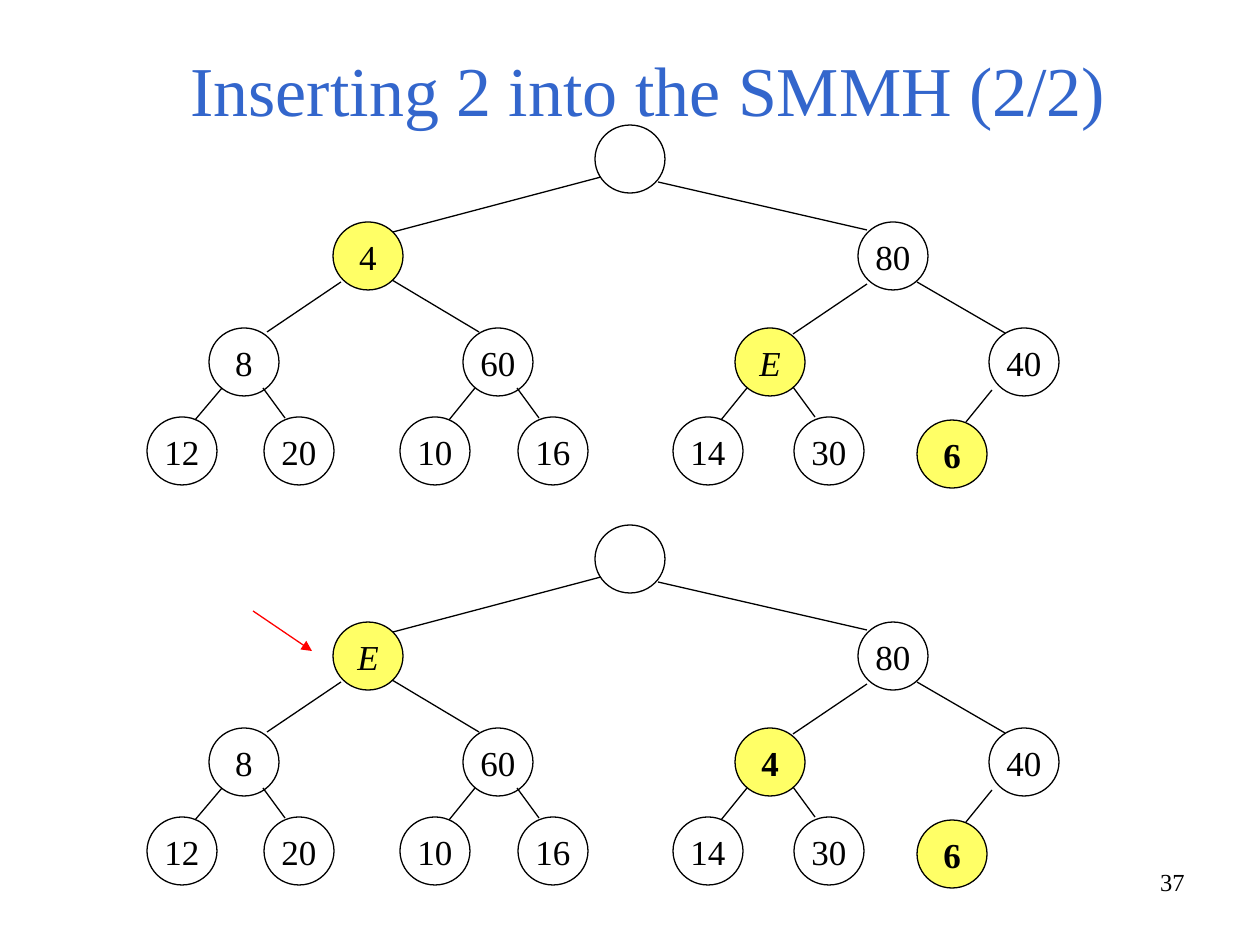
from lxml.etree import SubElement
from pptx import Presentation
from pptx.dml.color import RGBColor
from pptx.enum.shapes import MSO_CONNECTOR, MSO_SHAPE
from pptx.enum.text import MSO_ANCHOR, PP_ALIGN
from pptx.oxml.ns import qn
from pptx.util import Pt

EMU_PER_INCH, PX_PER_INCH = 914400, 126
FONT = "Times New Roman"
COLORS = {"title": "3366CC", "ink": "000000", "changed": "FFFF66", "pointer": "FF0000"}
NODE_WIDTH, NODE_HEIGHT = 70, 68
TREE_TOPS = (125, 525)

# Positions are measured from the top of each tree.
NODES = {
    "root": (595, 0, ""),
    "left": (333, 97, "4"), "right": (858, 97, "80"),
    "left min": (209, 203, "8"), "left max": (463, 203, "60"),
    "right min": (735, 203, "E"), "right max": (989, 203, "40"),
    "leaf 1": (147, 292, "12"), "leaf 2": (264, 292, "20"),
    "leaf 3": (400, 292, "10"), "leaf 4": (518, 292, "16"),
    "leaf 5": (673, 292, "14"), "leaf 6": (794, 292, "30"),
    "leaf 7": (917, 295, "6"),
}
EDGES = [
    (601, 52, 393, 107), (658, 57, 867, 105),
    (341, 157, 267, 207), (392, 155, 479, 207),
    (867, 159, 793, 209), (917, 157, 1005, 208),
    (222, 263, 195, 295), (263, 263, 285, 293),
    (475, 263, 449, 295), (517, 263, 539, 293),
    (747, 263, 721, 295), (793, 262, 815, 292),
    (992, 265, 966, 297),
]
CHANGES = (
    {"left": ("4", ""), "right min": ("E", "italic"), "leaf 7": ("6", "bold")},
    {"left": ("E", "italic"), "right min": ("4", "bold"), "leaf 7": ("6", "bold")},
)


def px(length):
    """Turn pixels into EMU."""
    return round(length * EMU_PER_INCH / PX_PER_INCH)


def color(name):
    """Look up a named colour."""
    return RGBColor.from_string(COLORS[name])


def write(frame, text, size, align, ink="ink", style=""):
    """Set one formatted paragraph in a text frame."""
    frame.text = text
    paragraph = frame.paragraphs[0]
    paragraph.alignment = align
    for run in paragraph.runs:
        run.font.name, run.font.size = FONT, Pt(size)
        run.font.color.rgb = color(ink)
        run.font.bold, run.font.italic = style == "bold", style == "italic"


def add_title(slide, text):
    """Place and format the title placeholder."""
    title = slide.shapes.title
    title.left, title.top, title.width, title.height = map(px, (94, 44, 1108, 93))
    title.text_frame.vertical_anchor = MSO_ANCHOR.BOTTOM
    write(title.text_frame, text, 40, PP_ALIGN.CENTER, "title")


def add_page_number(slide, number):
    """Write the page number at the lower right."""
    box = slide.shapes.add_textbox(px(903), px(861), px(294), px(66))
    box.text_frame.word_wrap = True
    write(box.text_frame, number, 14, PP_ALIGN.RIGHT)


def add_line(slide, ends, ink="ink", arrow=False):
    """Draw a straight line, with an arrowhead if asked."""
    line = slide.shapes.add_connector(MSO_CONNECTOR.STRAIGHT, *map(px, ends))
    line.line.color.rgb = color(ink)
    line.line.width = Pt(0.75)
    if arrow:
        SubElement(line.line._get_or_add_ln(), qn("a:tailEnd"), type="triangle")
    SubElement(line._element.spPr, qn("a:effectLst"))


def add_node(slide, left, top, label, style, changed):
    """Draw one heap node, filled when its value has changed."""
    node = slide.shapes.add_shape(
        MSO_SHAPE.OVAL, px(left), px(top), px(NODE_WIDTH), px(NODE_HEIGHT))
    node.shadow.inherit = False
    if changed:
        node.fill.solid()
        node.fill.fore_color.rgb = color("changed")
    else:
        node.fill.background()
    node.line.color.rgb = color("ink")
    node.line.width = Pt(0.75)
    if label:
        node.text_frame.word_wrap = False
        node.text_frame.vertical_anchor = MSO_ANCHOR.MIDDLE
        write(node.text_frame, label, 20, PP_ALIGN.CENTER, style=style)


def add_tree(slide, tree_top, changes):
    """Draw one state of the heap."""
    for place, (left, top, value) in NODES.items():
        label, style = changes.get(place, (value, ""))
        add_node(slide, left, tree_top + top, label, style, place in changes)
    for x1, y1, x2, y2 in EDGES:
        add_line(slide, (x1, tree_top + y1, x2, tree_top + y2))


def main():
    """Build and save the slide."""
    deck = Presentation()
    deck.slide_width, deck.slide_height = px(1260), px(945)
    slide = deck.slides.add_slide(deck.slide_layouts[5])
    add_page_number(slide, "37")
    add_title(slide, "Inserting 2 into the SMMH (2/2)")
    for tree_top, changes in zip(TREE_TOPS, CHANGES):
        add_tree(slide, tree_top, changes)
    add_line(slide, (253, 611, 312, 651), "pointer", arrow=True)
    deck.save("out.pptx")


if __name__ == "__main__":
    main()
